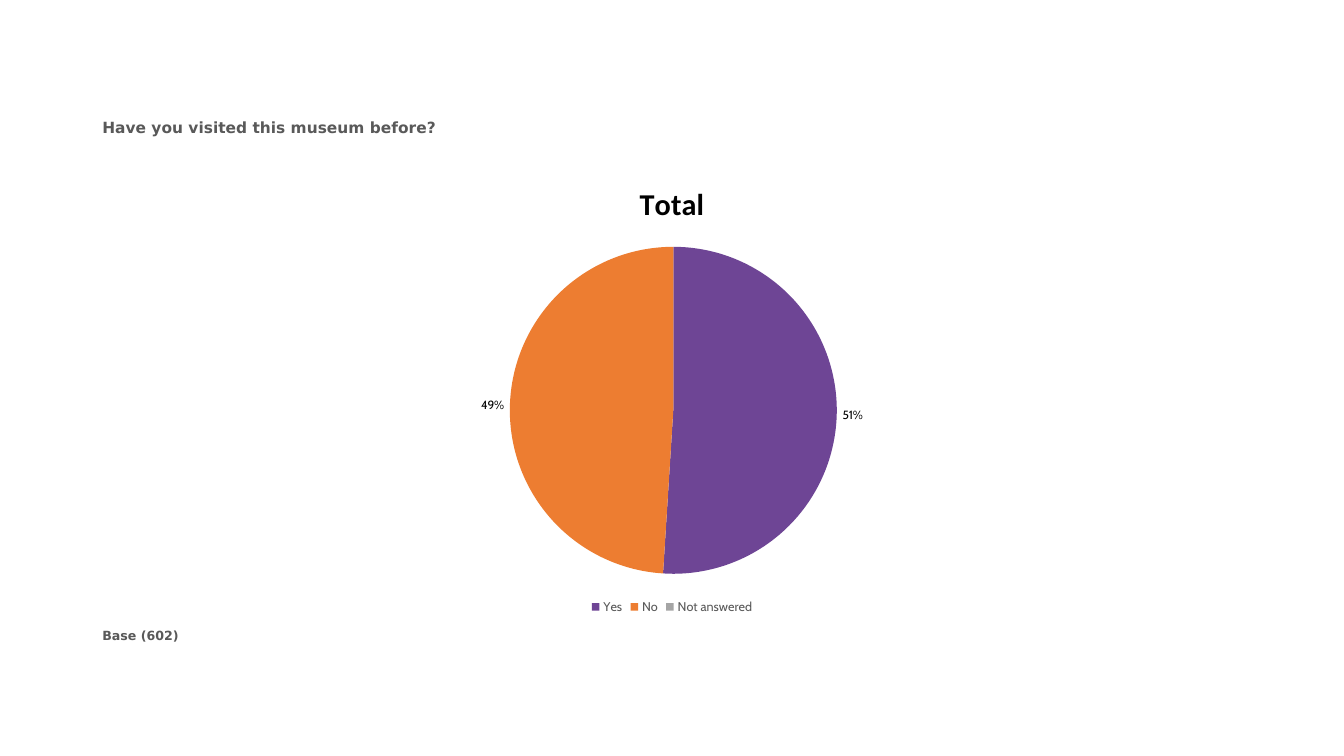
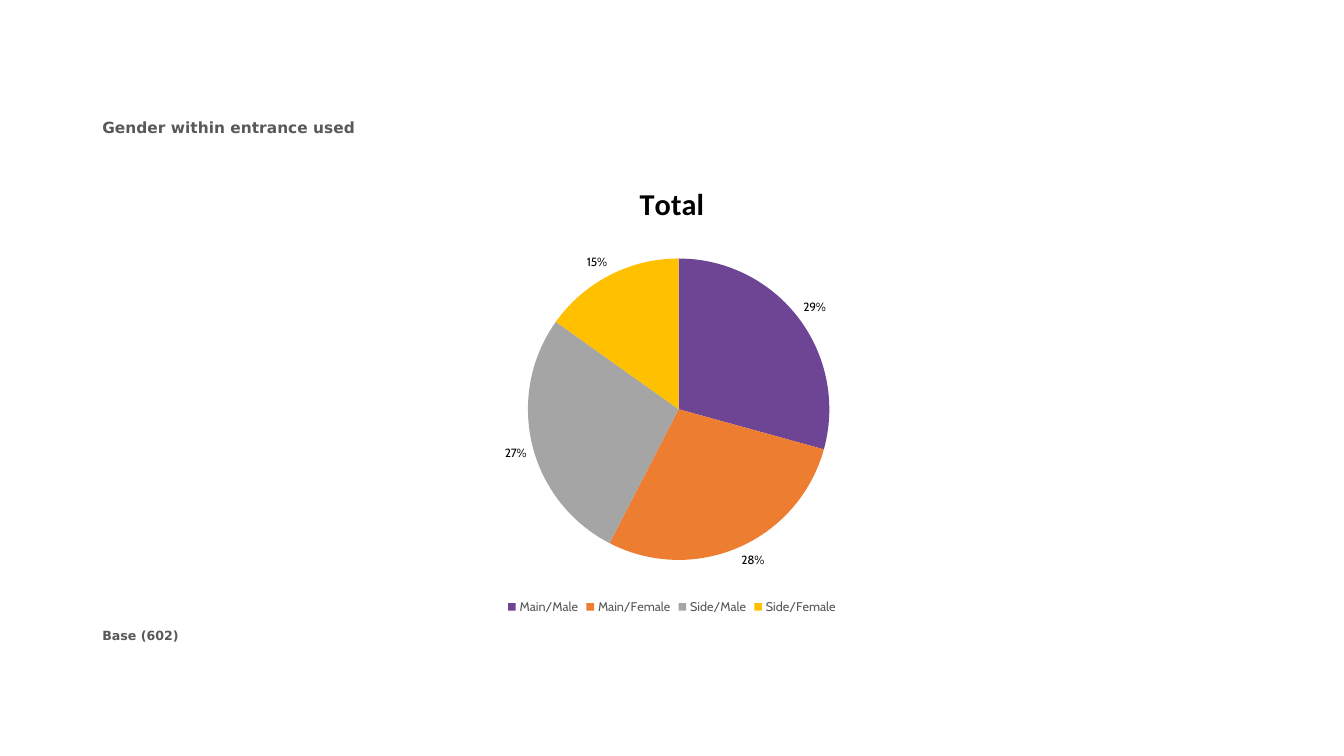
"""Builds two survey slides, each with a question, a pie chart and a base size."""
from pptx import Presentation
from pptx.chart.data import CategoryChartData
from pptx.dml.color import RGBColor
from pptx.enum.chart import XL_CHART_TYPE, XL_LABEL_POSITION, XL_LEGEND_POSITION
from pptx.util import Pt

BLACK = RGBColor(0x00, 0x00, 0x00)
GREY = RGBColor(0x59, 0x59, 0x59)
PURPLE = RGBColor(0x6E, 0x45, 0x95)
ORANGE = RGBColor(0xED, 0x7D, 0x31)
SILVER = RGBColor(0xA5, 0xA5, 0xA5)
YELLOW = RGBColor(0xFF, 0xC0, 0x00)
SLICE_COLORS = (PURPLE, ORANGE, SILVER, YELLOW)

TEXT_FONT = "DejaVu Sans"
CHART_FONT = "Calibri"
LABEL_FONT = "Cabin"
LEFT, WIDTH = Pt(66), Pt(828)


def style_font(font, name, size, color, bold=False):
    font.name = name
    font.size = Pt(size)
    font.bold = bold
    font.color.rgb = color


def write_text(text_frame, text, **text_format):
    text_frame.text = text
    style_font(text_frame.paragraphs[0].runs[0].font, **text_format)


class SurveyDeck:
    def __init__(self):
        self.presentation = Presentation()
        self.presentation.slide_width = Pt(960)
        self.presentation.slide_height = Pt(540)
        self.slide = None

    def add_slide(self):
        self.slide = self.presentation.slides.add_slide(self.presentation.slide_layouts[6])

    def add_text(self, text, top, height, size):
        text_box = self.slide.shapes.add_textbox(LEFT, Pt(top), WIDTH, Pt(height))
        text_box.text_frame.word_wrap = True
        write_text(text_box.text_frame, text, name=TEXT_FONT, size=size, color=GREY, bold=True)

    def add_question(self, text):
        self.add_text(text, top=80.8, height=36.5, size=11)

    def add_base(self, count):
        self.add_text(f"Base ({count})", top=445, height=31, size=9)

    def add_pie(self, shares):
        chart_data = CategoryChartData(number_format="0%")
        chart_data.categories = list(shares)
        chart_data.add_series("Total", list(shares.values()))
        chart = self.slide.shapes.add_chart(
            XL_CHART_TYPE.PIE, LEFT, Pt(116), WIDTH, Pt(326), chart_data
        ).chart
        style_font(chart.font, CHART_FONT, 18, BLACK)
        chart.has_title = True
        write_text(chart.chart_title.text_frame, "Total",
                   name=CHART_FONT, size=21.6, color=BLACK, bold=True)
        chart.chart_title.include_in_layout = False

        chart.has_legend = True
        chart.legend.position = XL_LEGEND_POSITION.BOTTOM
        chart.legend.include_in_layout = False
        style_font(chart.legend.font, LABEL_FONT, 9, GREY)

        plot = chart.plots[0]
        plot.vary_by_categories = True
        series = plot.series[0]
        for index, color in enumerate(SLICE_COLORS[:len(shares)]):
            fill = series.points[index].format.fill
            fill.solid()
            fill.fore_color.rgb = color

        labels = series.data_labels
        labels.show_value = True
        labels.show_percentage = False
        labels.position = XL_LABEL_POSITION.OUTSIDE_END
        labels.number_format = "0%;;"
        labels.number_format_is_linked = False
        style_font(labels.font, LABEL_FONT, 8.5, BLACK)

    def add_survey_slide(self, question, base, shares):
        self.add_slide()
        self.add_question(question)
        self.add_base(base)
        self.add_pie(shares)


def main():
    deck = SurveyDeck()
    deck.add_survey_slide(
        "Have you visited this museum before?", 602,
        {"Yes": 0.51, "No": 0.49, "Not answered": 0},
    )
    deck.add_survey_slide(
        "Gender within entrance used", 602,
        {"Main/Male": 0.29, "Main/Female": 0.28, "Side/Male": 0.27, "Side/Female": 0.15},
    )
    deck.presentation.save("out.pptx")


if __name__ == "__main__":
    main()
